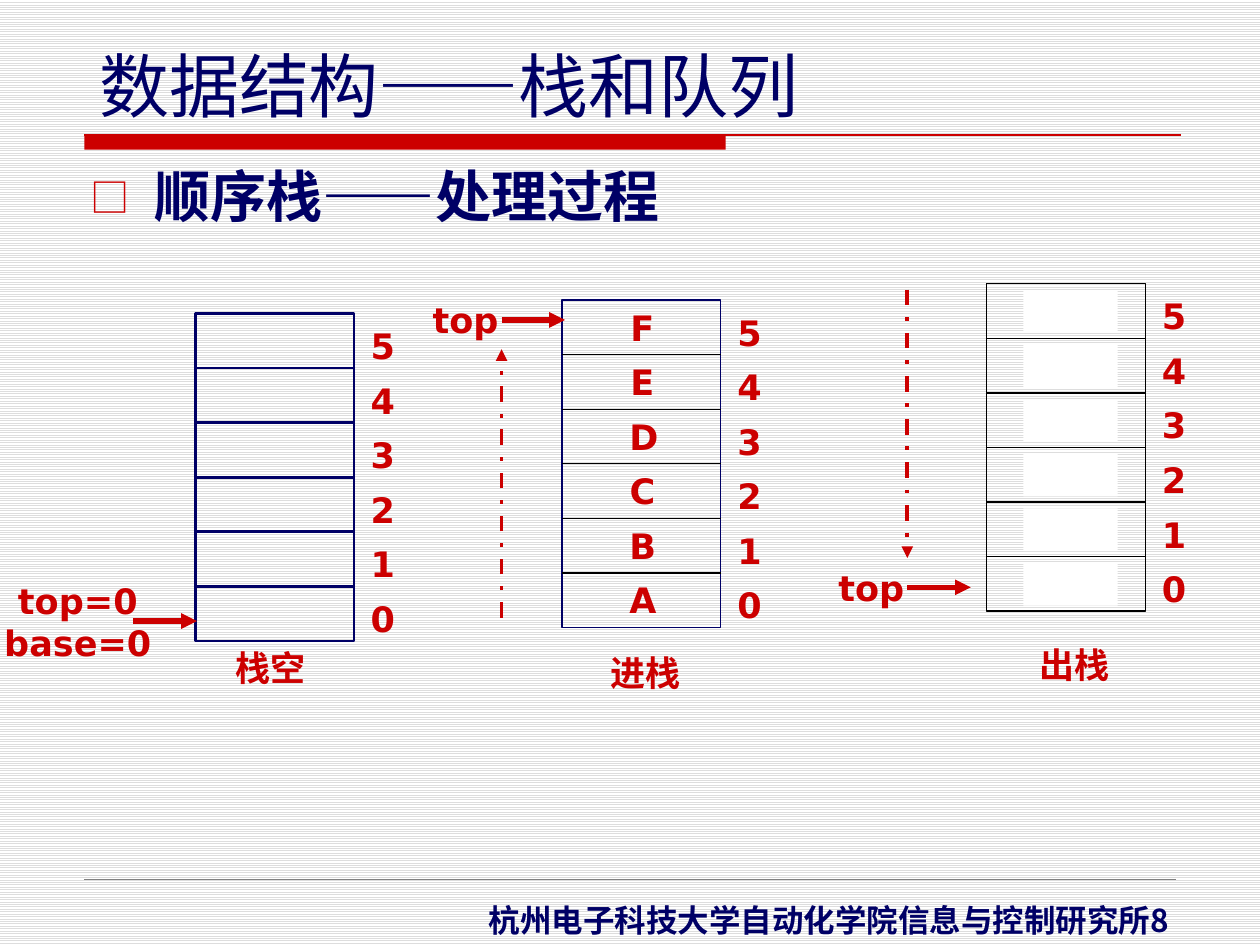
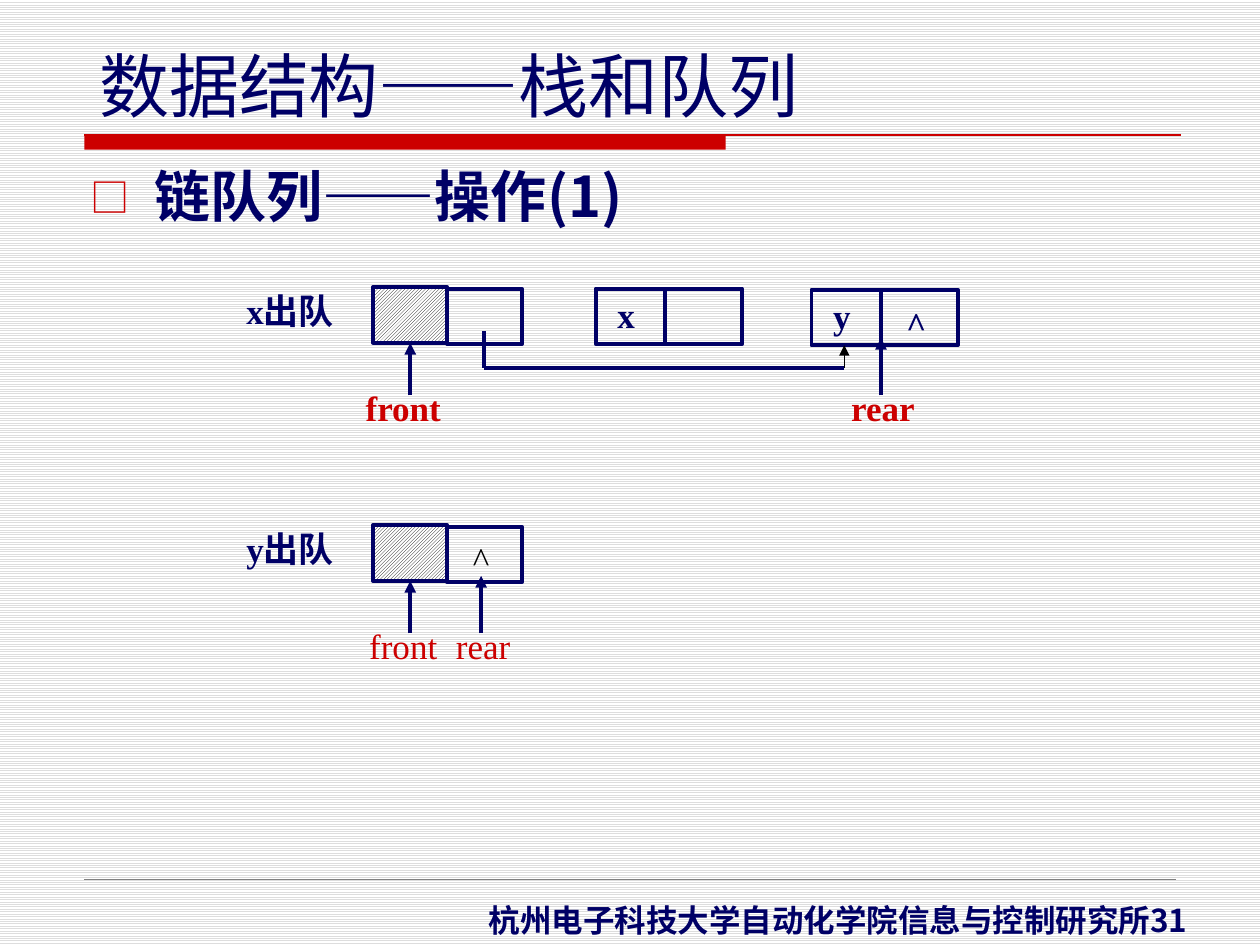
from lxml import etree
from pptx import Presentation
from pptx.dml.color import RGBColor
from pptx.enum.dml import MSO_LINE, MSO_PATTERN
from pptx.enum.shapes import MSO_CONNECTOR, MSO_SHAPE
from pptx.enum.text import MSO_ANCHOR, PP_ALIGN
from pptx.oxml.ns import qn
from pptx.util import Cm, Pt

NAVY, RED, BLACK, WHITE = "000066", "CC0000", "000000", "FFFFFF"
STRIPE, GREY = "DDDDDD", "808080"
SANS, ARIAL, SERIF, CJK = "DejaVu Sans", "Arial", "Times New Roman", "Noto Sans CJK SC"
RECTANGLE, STRAIGHT = MSO_SHAPE.RECTANGLE, MSO_CONNECTOR.STRAIGHT
DASH_DOT = MSO_LINE.DASH_DOT
HORIZONTAL, DIAGONAL = MSO_PATTERN.LIGHT_HORIZONTAL, MSO_PATTERN.LIGHT_UPWARD_DIAGONAL
CENTER, MIDDLE = PP_ALIGN.CENTER, MSO_ANCHOR.MIDDLE
BOTTOM_SITE = 2

LABEL_HEIGHT = 1.09
STACK_WIDTH, ROW_COUNT, ROW_HEIGHT = 3.2, 6, 1.1
STACK_HEIGHT = ROW_COUNT * ROW_HEIGHT
CELL_WIDTH, CELL_HEIGHT = 1.5, 1.12
NODE_WIDTH, NODE_DIVIDER = 2.95, 1.4


def color(hex_string):
    """Turn a hex string into a colour."""
    return RGBColor.from_string(hex_string)


def set_pattern(fill, pattern, foreground):
    """Fill with a pattern on white."""
    fill.patterned()
    fill.pattern = pattern
    fill.fore_color.rgb = color(foreground)
    fill.back_color.rgb = color(WHITE)


def format_run(run, font, size, hex_string, bold):
    """Set the Latin and East Asian fonts, size, colour and weight of a run."""
    run.font.name = font
    run.font.size = Pt(size)
    run.font.bold = bold
    run.font.color.rgb = color(hex_string)
    etree.SubElement(run.font._element, qn("a:ea"), typeface=CJK)


def add_text_frame(slide, left, top, width, height, wrap=False):
    """Add a text box and return its frame."""
    box = slide.shapes.add_textbox(Cm(left), Cm(top), Cm(width), Cm(height))
    box.text_frame.word_wrap = wrap
    return box.text_frame


def add_label(slide, text, center, top, font=SANS, hex_string=RED, bold=True,
              width=1.02, height=LABEL_HEIGHT, wrap=False):
    """Add a label centred on a given abscissa."""
    frame = add_text_frame(slide, center - width / 2, top, width, height, wrap)
    frame.text = text
    frame.vertical_anchor = MIDDLE
    for paragraph in frame.paragraphs:
        paragraph.alignment = CENTER
        for run in paragraph.runs:
            format_run(run, font, 20, hex_string, bold)


def add_runs(paragraph, pieces, size, bold):
    """Fill a paragraph with navy runs of (text, font)."""
    for text, font in pieces:
        run = paragraph.add_run()
        run.text = text
        format_run(run, font, size, NAVY, bold)


def add_line(slide, start, end, hex_string, width, arrow=False, dash=None):
    """Draw a straight line, with an arrowhead at its end if asked."""
    connector = slide.shapes.add_connector(STRAIGHT, *map(Cm, start + end))
    connector.line.color.rgb = color(hex_string)
    connector.line.width = Pt(width)
    if dash:
        connector.line.dash_style = dash
    properties = connector._element.spPr
    if arrow:
        etree.SubElement(properties.find(qn("a:ln")), qn("a:tailEnd"), type="triangle")
    etree.SubElement(properties, qn("a:effectLst"))
    return connector


def add_box(slide, left, top, width, height, fill=None, line=None, line_width=0.75):
    """Draw a rectangle, hollow or outlined as asked."""
    shape = slide.shapes.add_shape(RECTANGLE, Cm(left), Cm(top), Cm(width), Cm(height))
    shape.shadow.inherit = False
    if fill:
        shape.fill.solid()
        shape.fill.fore_color.rgb = color(fill)
    else:
        shape.fill.background()
    if line:
        shape.line.color.rgb = color(line)
        shape.line.width = Pt(line_width)
    else:
        shape.line.fill.background()
    return shape


def add_bullet(paragraph):
    """Give a paragraph a hollow red square and a hanging indent."""
    properties = paragraph._p.get_or_add_pPr()
    properties.set("marL", str(Cm(1.3)))
    properties.set("indent", str(-Cm(1.3)))
    bullet_color = etree.SubElement(properties, qn("a:buClr"))
    etree.SubElement(bullet_color, qn("a:srgbClr"), val=RED)
    etree.SubElement(properties, qn("a:buSzPct"), val="70000")
    etree.SubElement(properties, qn("a:buFont"), typeface=CJK)
    etree.SubElement(properties, qn("a:buChar"), char="□")


def add_base_slide(presentation, heading, number):
    """Add a slide with title, red band, bulleted heading and footer."""
    slide = presentation.slides.add_slide(presentation.slide_layouts[6])
    add_box(slide, 1.7, 2.72, 12.93, 0.3, fill=RED)
    add_line(slide, (1.7, 2.72), (23.8, 2.72), RED, 0.75)
    add_line(slide, (1.7, 17.73), (23.7, 17.73), GREY, 0.25)
    title = add_text_frame(slide, 1.75, 0.73, 14.6, 1.96)
    add_runs(title.paragraphs[0],
             [("数据结构", SANS), ("——", ARIAL), ("栈和队列", SANS)], 40, False)
    footer = add_text_frame(slide, 9.6, 18.03, 15.52, 1.02)
    add_runs(footer.paragraphs[0],
             [("杭州电子科技大学自动化学院信息与控制研究所", SERIF), (str(number), CJK)],
             18, True)
    body = add_text_frame(slide, 1.57, 3.14, 22.23, 2.2, wrap=True)
    add_bullet(body.paragraphs[0])
    add_runs(body.paragraphs[0], heading, 32, True)
    return slide


def add_stack(slide, left, top, caption, caption_offset, outline, divider, line_width):
    """Draw a six-row stack with its indices and caption."""
    add_box(slide, left, top, STACK_WIDTH, STACK_HEIGHT, line=outline, line_width=line_width)
    for row in range(ROW_COUNT):
        y = top + row * ROW_HEIGHT
        if row:
            add_line(slide, (left, y), (left + STACK_WIDTH, y), divider, line_width)
        add_label(slide, str(ROW_COUNT - 1 - row), left + 3.78, y + 0.1)
    dx, dy = caption_offset
    add_label(slide, caption, left + dx, top + dy, width=1.93)


def add_stack_pointer(slide, x, y, text, width=2.95, height=LABEL_HEIGHT):
    """Draw a red arrow to the right with its label before it."""
    add_line(slide, (x, y), (x + 1.28, y), RED, 3, arrow=True)
    add_label(slide, text, x + 0.75 - width / 2, y - height / 2,
              width=width, height=height, wrap=True)


def add_stack_slide(presentation):
    """Build the slide on the sequential stack."""
    heading = [("顺序栈", SANS), ("——", ARIAL), ("处理过程", SANS)]
    slide = add_base_slide(presentation, heading, 8)
    push_left, push_top = 11.33, 6.05
    pop_left, pop_top = 19.89, 5.72
    add_stack(slide, 3.94, 6.32, "栈空", (1.52, 6.6), NAVY, NAVY, 1.5)
    add_stack(slide, push_left, push_top, "进栈", (1.68, 6.96), NAVY, BLACK, 0.75)
    add_stack(slide, pop_left, pop_top, "出栈", (1.78, 7.14), BLACK, BLACK, 0.75)
    for row, letter in enumerate("FEDCBA"):
        y = row * ROW_HEIGHT
        add_label(slide, letter, push_left + 1.62, push_top + y)
        add_box(slide, pop_left + 0.74, pop_top + y + 0.13, 1.9, 0.86, fill=WHITE)
    add_stack_pointer(slide, 2.69, 12.52, "top=0\nbase=0", width=3.74, height=1.96)
    add_stack_pointer(slide, 10.11, 6.45, "top")
    add_stack_pointer(slide, 18.29, 11.84, "top")
    add_line(slide, (10.11, 12.45), (10.11, 7.04), RED, 2.25, arrow=True, dash=DASH_DOT)
    add_line(slide, (18.29, 5.84), (18.29, 11.25), RED, 2.25, arrow=True, dash=DASH_DOT)


def add_queue_pointer(slide, text, x, top, bold, label_shift, target=None):
    """Draw an upward arrow with its name below, joined to a target if given."""
    connector = add_line(slide, (x, top + 2.18), (x, top + 1.02), NAVY, 2.25, arrow=True)
    if target:
        connector.end_connect(target, BOTTOM_SITE)
    add_label(slide, text, x + label_shift, top + 1.88, SERIF, bold=bold, width=2.4)


def add_head_node(slide, left, top, caption, bold):
    """Draw the hatched head node with its caption and front pointer."""
    add_box(slide, left + CELL_WIDTH, top + 0.03, CELL_WIDTH, CELL_HEIGHT,
            line=NAVY, line_width=2.25)
    data_cell = add_box(slide, left, top, CELL_WIDTH, CELL_HEIGHT, line=NAVY, line_width=2.25)
    set_pattern(data_cell.fill, DIAGONAL, BLACK)
    add_label(slide, caption, left - 1.67, top - 0.07, SERIF, NAVY, width=2.29, wrap=True)
    add_queue_pointer(slide, "front", left + CELL_WIDTH / 2, top, bold, -0.14, data_cell)


def add_node(slide, left, top, value):
    """Draw a queue node with a data half and a link half."""
    add_box(slide, left, top, NODE_WIDTH, CELL_HEIGHT, line=NAVY, line_width=2.25)
    middle = left + NODE_DIVIDER
    add_line(slide, (middle, top), (middle, top + CELL_HEIGHT), NAVY, 2.25)
    add_label(slide, value, left + 0.61, top - 0.03, SERIF, NAVY)


def add_queue_slide(presentation):
    """Build the slide on dequeuing from a linked queue."""
    slide = add_base_slide(presentation, [("链队列——操作(1)", CJK)], 31)
    first_top, second_top, head_left, last_left = 5.79, 10.59, 7.52, 16.36
    add_head_node(slide, head_left, first_top, "x出队", True)
    add_node(slide, 12.01, first_top + 0.03, "x")
    add_node(slide, last_left, first_top + 0.05, "y")
    add_label(slide, "^", last_left + 2.11, first_top + 0.18, SERIF, NAVY)
    add_queue_pointer(slide, "rear", last_left + NODE_DIVIDER, first_top, True, 0.04)

    link_y, link_start, link_end = 7.42, 9.75, 17.02
    add_line(slide, (link_start, 6.68), (link_start, link_y), NAVY, 2.25)
    add_line(slide, (link_start, link_y), (link_end, link_y), NAVY, 2.25)
    add_line(slide, (link_end, link_y), (link_end, 6.96), BLACK, 0.75, arrow=True)

    add_head_node(slide, head_left, second_top, "y出队", False)
    add_label(slide, "^", head_left + 2.18, second_top + 0.13, SERIF, BLACK, bold=False)
    add_queue_pointer(slide, "rear", head_left + 2.18, second_top, False, 0.04)


def main():
    """Build and save the presentation."""
    presentation = Presentation()
    presentation.slide_width = Cm(25.4)
    presentation.slide_height = Cm(19.05)
    set_pattern(presentation.slide_master.background.fill, HORIZONTAL, STRIPE)
    add_stack_slide(presentation)
    add_queue_slide(presentation)
    presentation.save("out.pptx")


if __name__ == "__main__":
    main()
